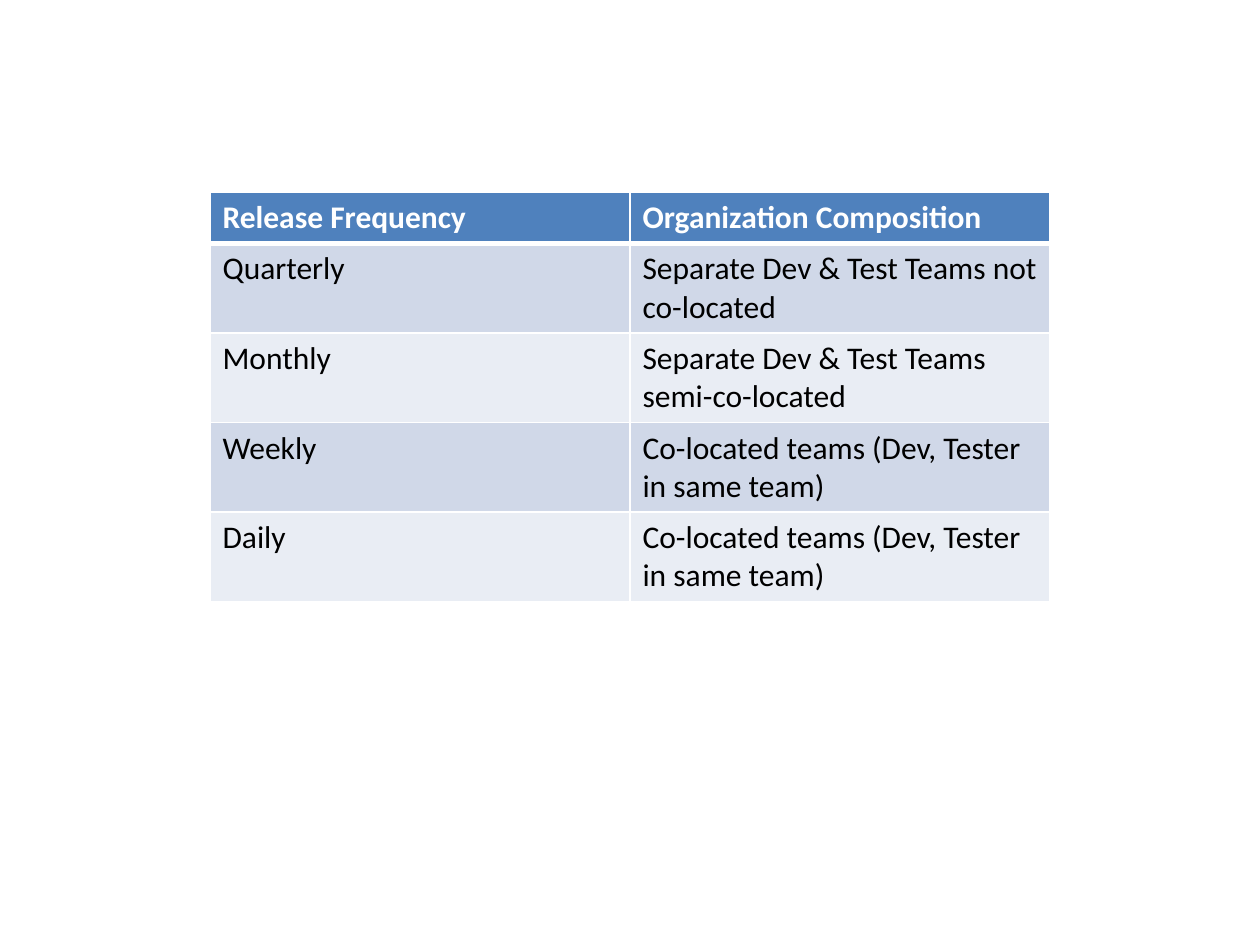
from pptx import Presentation
from pptx.dml.color import RGBColor as RGB
from pptx.oxml import parse_xml as to_xml
from pptx.oxml.ns import nsdecls
from pptx.util import Pt


def color(code):
    return RGB.from_string(code)


def write(cell, text, size=18, font="Calibri", ink="000000", bold=False):
    run = cell.text_frame.paragraphs[0].add_run()
    run.text = text
    run.font.size = Pt(size)
    run.font.name = font
    run.font.bold = bold
    run.font.color.rgb = color(ink)


deck = Presentation()
deck.slide_width, deck.slide_height = Pt(720), Pt(540)
slide = deck.slides.add_slide(deck.slide_layouts[6])

rows = [
    ("Release Frequency", "Organization Composition"),
    ("Quarterly", "Separate Dev & Test Teams not co-located"),
    ("Monthly", "Separate Dev & Test Teams semi-co-located"),
    ("Weekly", "Co-located teams (Dev, Tester in same team)"),
    ("Daily", "Co-located teams (Dev, Tester in same team)"),
]
bands = ["E9EDF4", "D0D8E8"]
high = 29.2

frame = slide.shapes.add_table(
    len(rows), 2, Pt(120), Pt(110), Pt(480), Pt(high * len(rows))
)
table = frame.table

for r, row in enumerate(rows):
    table.rows[r].height = Pt(high)
    head = r == 0
    for c, text in enumerate(row):
        cell = table.cell(r, c)
        write(cell, text, ink="FFFFFF" if head else "000000", bold=head)
        props = cell._tc.get_or_add_tcPr()
        for side in ("L", "R", "T", "B"):
            thick = (head and side == "B") or (r == 1 and side == "T")
            props.append(to_xml(
                f'<a:ln{side} {nsdecls("a")} w="{Pt(3 if thick else 1)}">'
                '<a:solidFill><a:srgbClr val="FFFFFF"/></a:solidFill>'
                f'</a:ln{side}>'
            ))
        cell.fill.solid()
        cell.fill.fore_color.rgb = color("4F81BD" if head else bands[r % 2])

deck.save("out.pptx")
